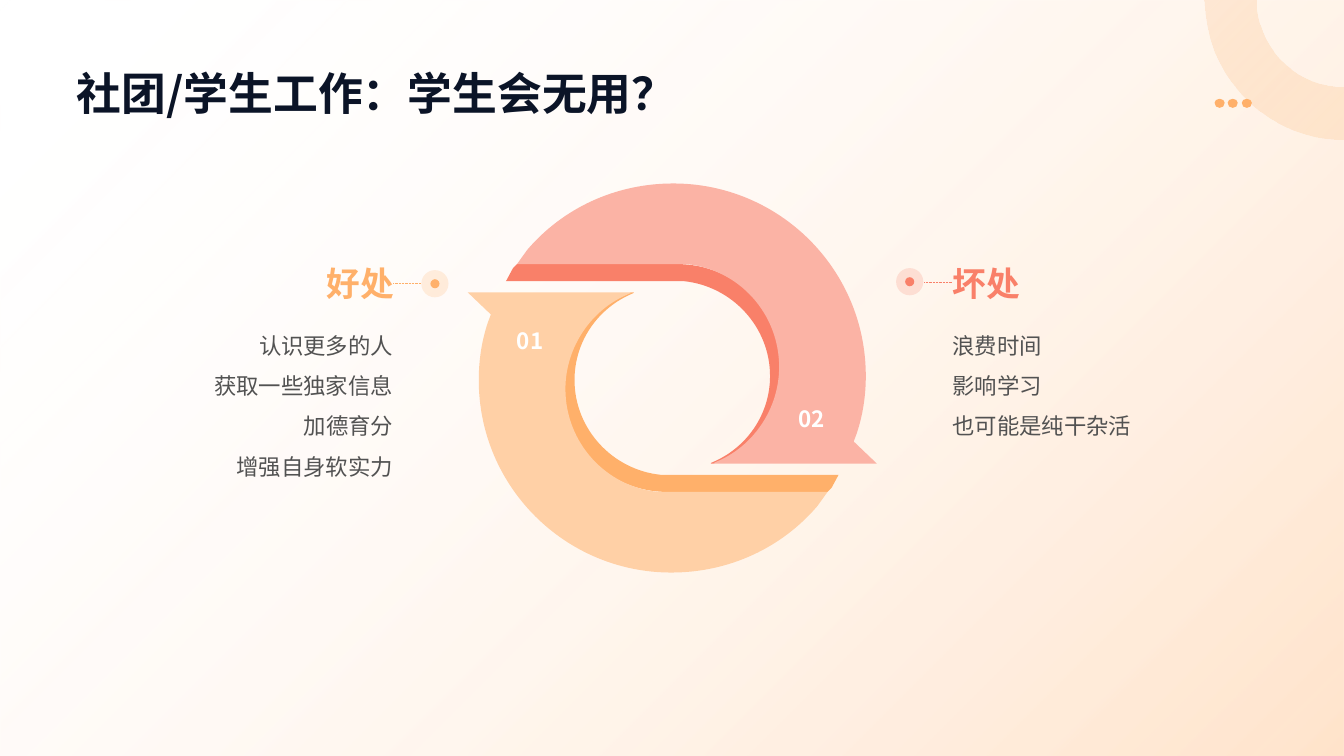
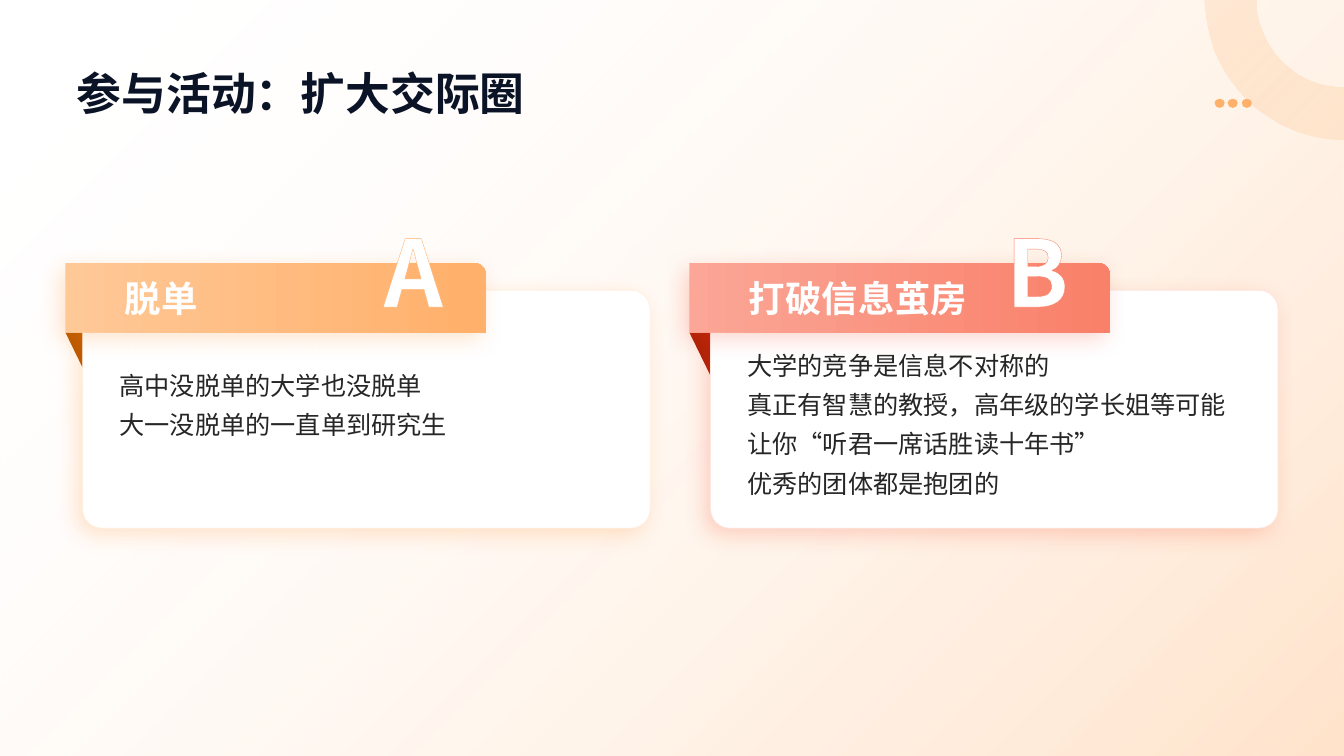
"""Build two slides on student clubs and activities."""
import lxml.etree
import pptx
import pptx.dml.color
import pptx.enum.dml
import pptx.enum.shapes
import pptx.enum.text
import pptx.oxml.ns
import pptx.util

PX = 9144
FONT = "Noto Sans CJK SC"
GOLD, CORAL, WHITE, INK = "FFB06A", "F98069", "FFFFFF", "0B1427"
hue = pptx.dml.color.RGBColor.from_string
qn = pptx.oxml.ns.qn
sub = lxml.etree.SubElement
Align = pptx.enum.text.PP_ALIGN
Anchor = pptx.enum.text.MSO_ANCHOR


def draw(page, kind, at, *stops, turn=0):
    """Add a text box, preset shape or curved outline with a solid or gradient fill."""
    if kind == "TEXT":
        return page.shapes.add_textbox(*[n * PX for n in at])
    if kind == "TRACE":
        pen = page.shapes.build_freeform(*at[0][0], scale=float(PX))
        for i, loop in enumerate(at):
            if i:
                pen.move_to(*loop[0])
            pen.add_line_segments([step[-2:] for step in loop[1:]], close=True)
        form = pen.convert_to_shape()
        left, top = form.left // PX, form.top // PX
        steps = [step for loop in at for step in loop]
        marks = [tag for name in ("a:moveTo", "a:lnTo")
                 for tag in form._element.spPr.iter(qn(name))]
        trail = next(form._element.spPr.iter(qn("a:moveTo"))).getparent()
        marks = [tag for tag in trail if tag in marks]
        for tag, step in zip(marks, steps):
            if len(step) == 6:
                bend = lxml.etree.Element(qn("a:cubicBezTo"))
                for x, y in zip(step[::2], step[1::2]):
                    sub(bend, qn("a:pt"), x=str(x - left), y=str(y - top))
                trail.replace(tag, bend)
    else:
        preset = getattr(pptx.enum.shapes.MSO_SHAPE, kind)
        form = page.shapes.add_shape(preset, *[n * PX for n in at])
    form.shadow.inherit = False
    form.line.fill.background()
    if len(stops) == 1:
        form.fill.solid()
        form.fill.fore_color.rgb = hue(stops[0][0])
    else:
        form.fill.gradient()
        form.fill.gradient_angle = -turn % 360
        for stop, (tone, _) in zip(form.fill.gradient_stops, stops):
            stop.color.rgb = hue(tone)
    for tag, (_, alpha) in zip(form._element.spPr.iter(qn("a:srgbClr")), stops):
        if alpha < 100:
            sub(tag, qn("a:alpha"), val=str(alpha * 1000))
    return form


def write(form, lines, size, tone, bold=False, anchor=Anchor.BOTTOM,
          inset=(0, 0, 0, 0), align=Align.LEFT, space=1.0, wrap=True):
    """Fill a shape with formatted paragraphs."""
    frame = form.text_frame
    frame.text = "\n".join(lines)
    look = {"word_wrap": wrap, "vertical_anchor": anchor,
            "auto_size": pptx.enum.text.MSO_AUTO_SIZE.NONE}
    for side, gap in zip(("left", "top", "right", "bottom"), inset):
        look["margin_" + side] = gap * PX
    for key, val in look.items():
        setattr(frame, key, val)
    for para in frame.paragraphs:
        para.alignment, para.line_spacing = align, space
        run = para.runs[0]
        for key, val in {"name": FONT, "size": pptx.util.Pt(size), "bold": bold}.items():
            setattr(run.font, key, val)
        run.font.color.rgb = hue(tone)
        sub(run._r.get_or_add_rPr(), qn("a:ea"), typeface=FONT)


deck = pptx.Presentation()
deck.slide_width, deck.slide_height = pptx.util.Inches(40 / 3), pptx.util.Inches(7.5)
layout = deck.slide_layouts[5]
pages = []
for head in ("社团/学生工作：学生会无用？", "参与活动：扩大交际圈"):
    page = deck.slides.add_slide(layout)
    title = page.shapes.title
    for key, val in {"left": 76, "top": 40, "width": 1181, "height": 79}.items():
        setattr(title, key, val * PX)
    write(title, [head], 32, INK, bold=True)
    pages.append(page)
club, event = pages

ring = [(1247, 0), (1195, 0), (1196, 14), (1203, 83, 1262, 138, 1333, 138),
        (1333, 86), (1288, 86, 1252, 52, 1247, 9)]
dots = [[(x, 98), (x - 3, 98, x - 5, 100, x - 5, 102), (x - 5, 105, x - 3, 107, x, 107),
         (x + 3, 107, x + 5, 105, x + 5, 102), (x + 5, 100, x + 3, 98, x, 98)]
        for x in (1210, 1223, 1237)]
back = draw(club, "RECTANGLE", (0, 0, 1334, 750), (WHITE, 0), (GOLD, 34), turn=45)
back.fill.gradient_stops[1].position = 0.99
decor = [back,
         draw(club, "TRACE", [ring], ("FFDFC3", 60), ("FFCFA0", 34), turn=45),
         draw(club, "TRACE", dots, (GOLD, 100))]
for i, form in enumerate(decor):
    form._element.nvSpPr.cNvPr.set("id", str(100 + i))
    layout.shapes._spTree.insert(2 + i, form._element)

edge = [(672, 262), (729, 262, 775, 307, 775, 364), (775, 406, 749, 443, 712, 458),
        (708, 460), (705, 460), (706, 459), (740, 445, 764, 412, 764, 373),
        (764, 324, 726, 284, 679, 279), (670, 279), (502, 279), (509, 266), (513, 262)]
band = [(668, 182), (773, 182, 859, 267, 859, 373), (859, 393, 856, 412, 850, 430),
        (847, 438), (870, 460), (707, 460), (711, 458), (747, 443, 773, 406, 773, 364),
        (773, 311, 733, 267, 681, 262), (671, 262), (513, 262), (523, 248),
        (558, 207, 610, 182, 668, 182)]
sides = [
    (CORAL, "FBB3A5", False, "02", (775, 387), "坏处", 945, 312, Align.LEFT, (889, 266),
     (917, 944, 280), ["浪费时间", "影响学习", "也可能是纯干杂活"]),
    (GOLD, "FFD0A6", True, "01", (496, 310), "好处", 76, 315, Align.RIGHT, (418, 268),
     (390, 418, 281), ["认识更多的人", "获取一些独家信息", "加德育分", "增强自身软实力"]),
]
for dark, light, flip, num, spot, name, left, wide, align, dot, rule, lines in sides:
    for trace, tone in ((edge, dark), (band, light)):
        if flip:
            trace = [tuple((750 if i % 2 else 1334) - n for i, n in enumerate(step))
                     for step in trace]
        draw(club, "TRACE", [trace], (tone, 100))
    write(draw(club, "TEXT", (*spot, 60, 56)), [num], 16, WHITE, bold=True,
          anchor=Anchor.MIDDLE, align=Align.CENTER)
    write(draw(club, "TEXT", (left, 222, wide, 79)), [name], 24, dark, bold=True, align=align)
    write(draw(club, "TEXT", (left, 316, 314, 172)), lines, 16, "525252",
          anchor=Anchor.TOP, align=align, space=1.5)
    x, y = dot
    draw(club, "OVAL", (x, y, 27, 27), (dark, 20))
    draw(club, "OVAL", (x + 9, y + 9, 9, 9), (dark, 100))
    start, end, level = [n * PX for n in rule]
    link = club.shapes.add_connector(pptx.enum.shapes.MSO_CONNECTOR.STRAIGHT,
                                     start, level, end, level)
    link.line.color.rgb = hue(dark)
    link.line.width = pptx.util.Pt(0.5)
    link.line.dash_style = pptx.enum.dml.MSO_LINE.ROUND_DOT
    sub(link._element.spPr, qn("a:effectLst"))

cards = [
    (65, 82, 360, "A", "脱单", GOLD, "FFC897", "B45500", "FFEFE1", "FF8010", 39,
     ["高中没脱单的大学也没脱单", "大一没脱单的一直单到研究生"]),
    (684, 705, 979, "B", "打破信息茧房", CORAL, "FBA696", "AA2107", "FEE6E1", "F63814", 0,
     ["大学的竞争是信息不对称的",
      "真正有智慧的教授，高年级的学长姐等可能让你“听君一席话胜读十年书”",
      "优秀的团体都是抱团的"]),
]
for left, inner, mid, sign, name, main, pale, fold, rim, shade, foot, lines in cards:
    draw(event, "RIGHT_TRIANGLE", (left, 330, 21, 43), (fold, 100)).rotation = 180
    card = draw(event, "ROUNDED_RECTANGLE", (inner, 288, 563, 236), (WHITE, 100))
    card.adjustments[0] = 0.08
    card.line.color.rgb = hue(rim)
    card.line.width = pptx.util.Pt(0.5)
    write(card, lines, 18, "262626", anchor=Anchor.MIDDLE, inset=(31, 21, 31, foot), space=1.3)
    tab = draw(event, "ROUND_1_RECTANGLE", (left, 261, 417, 69), (pale, 100), (main, 100))
    write(tab, [name], 26, WHITE, bold=True, anchor=Anchor.MIDDLE, inset=(59, 5, 10, 5))
    for form in (card, tab):
        glow = sub(form._element.spPr.find(qn("a:effectLst")), qn("a:outerShdw"),
                   blurRad="203200", dist="76200", dir="8100000", algn="tr", rotWithShape="0")
        sub(sub(glow, qn("a:srgbClr"), val=shade), qn("a:alpha"), val="20000")
    mark = draw(event, "TEXT", (mid, 226, 100, 97))
    write(mark, [sign], 66, WHITE, bold=True, align=Align.CENTER, wrap=False)
    props = mark.text_frame.paragraphs[0].runs[0]._r.get_or_add_rPr()
    line = sub(props, qn("a:ln"), w="12700")
    sub(sub(line, qn("a:solidFill")), qn("a:srgbClr"), val=main)
    props.insert(0, line)

deck.save("out.pptx")
